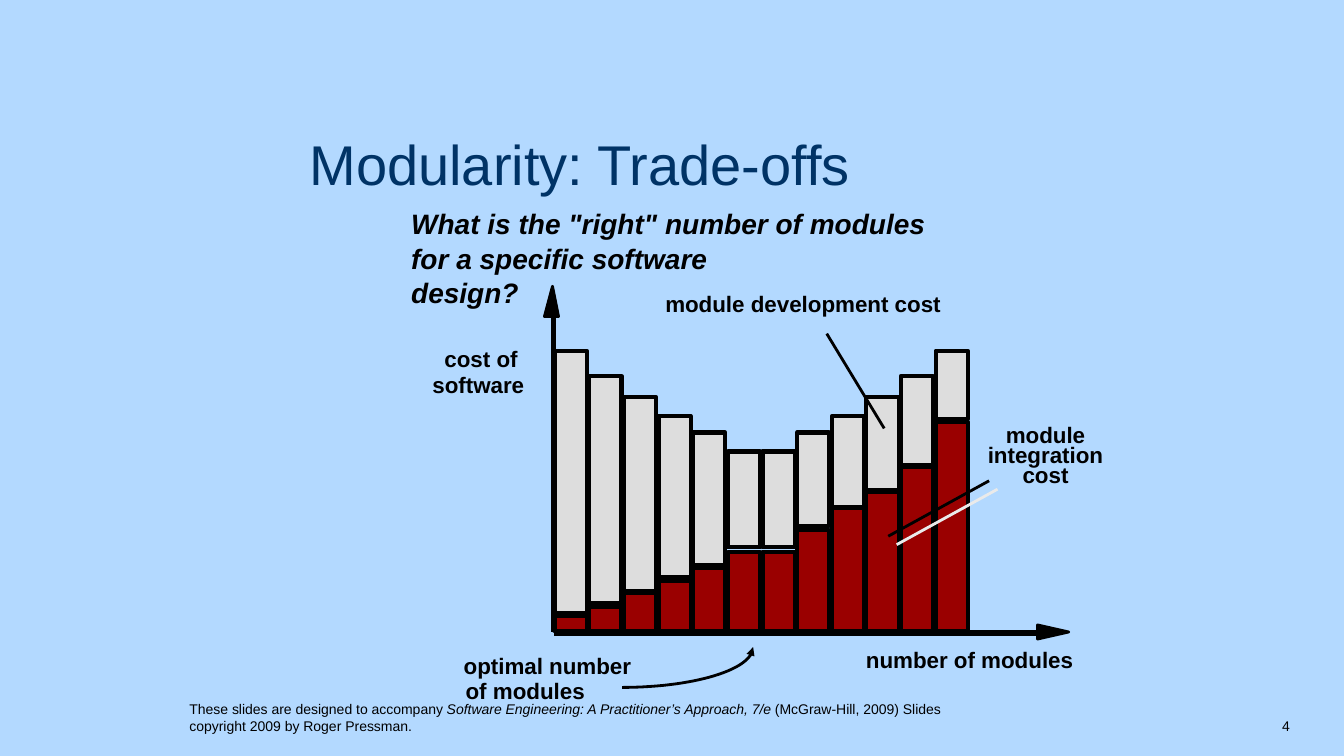
import math
from dataclasses import dataclass

import pptx
import pptx.dml.color
import pptx.enum.shapes
import pptx.enum.text
import pptx.oxml
import pptx.oxml.ns
import pptx.util
from pptx.util import Inches

ALIGN = pptx.enum.text.PP_ALIGN
ANCHOR = pptx.enum.text.MSO_ANCHOR


@dataclass(frozen=True)
class Theme:
    """Colours, font and type sizes of the slide."""
    font: str = "Arial"
    background: str = "B3D9FF"
    title: str = "003366"
    ink: str = "000000"
    development: str = "DDDDDD"
    integration: str = "9A0000"
    shadow: str = "EAEAEA"
    title_size: int = 40
    question_size: int = 20
    label_size: int = 16
    footer_size: int = 10


class SlideBuilder:
    """Draws styled elements on one slide."""

    def __init__(self, slide, theme):
        self.slide = slide
        self.theme = theme
        slide.background.fill.solid()
        slide.background.fill.fore_color.rgb = self.rgb(theme.background)

    def rgb(self, colour):
        """Return an RGB colour from its hex digits."""
        return pptx.dml.color.RGBColor.from_string(colour)

    def stroke(self, line, width):
        """Give a line the ink colour and a width in points."""
        line.color.rgb = self.rgb(self.theme.ink)
        line.width = pptx.util.Pt(width)

    def text(self, left, top, width, height, paragraphs, size, colour=None, bold=False,
             italic=False, align=ALIGN.LEFT, anchor=ANCHOR.TOP, spacing=None, insets=(0.1, 0.05)):
        """Add a text box; each paragraph is a list of (text, italic) runs or a string."""
        box = self.slide.shapes.add_textbox(
            Inches(left), Inches(top), Inches(width), Inches(height))
        frame = box.text_frame
        frame.word_wrap = True
        frame.vertical_anchor = anchor
        frame.margin_left = frame.margin_right = Inches(insets[0])
        frame.margin_top = frame.margin_bottom = Inches(insets[1])
        for index, content in enumerate(paragraphs):
            paragraph = frame.add_paragraph() if index else frame.paragraphs[0]
            paragraph.alignment = align
            if spacing:
                paragraph.line_spacing = spacing
            runs = [(content, italic)] if isinstance(content, str) else content
            for words, slanted in runs:
                run = paragraph.add_run()
                run.text = words
                run.font.name = self.theme.font
                run.font.size = pptx.util.Pt(size)
                run.font.bold = bold
                run.font.italic = slanted
                run.font.color.rgb = self.rgb(colour or self.theme.ink)

    def label(self, left, top, width, height, *lines, **style):
        """Add a bold chart label."""
        self.text(left, top, width, height, lines, self.theme.label_size, bold=True, **style)

    def bar(self, left, top, width, bottom, colour):
        """Add one outlined bar segment."""
        segment = self.slide.shapes.add_shape(
            pptx.enum.shapes.MSO_SHAPE.RECTANGLE,
            Inches(left), Inches(top), Inches(width), Inches(bottom - top))
        segment.shadow.inherit = False
        segment.fill.solid()
        segment.fill.fore_color.rgb = self.rgb(colour)
        self.stroke(segment.line, 3)

    def line(self, start, end, width=2, shadow=False):
        """Add a straight line, with an offset shadow if wanted."""
        connector = self.slide.shapes.add_connector(
            pptx.enum.shapes.MSO_CONNECTOR.STRAIGHT,
            *(Inches(value) for value in (*start, *end)))
        self.stroke(connector.line, width)
        namespace = pptx.oxml.ns.nsdecls("a")
        effect = (f'<a:outerShdw dist="107950" dir="2700000" algn="ctr" rotWithShape="0">'
                  f'<a:srgbClr val="{self.theme.shadow}"/></a:outerShdw>') if shadow else ""
        connector._element.spPr.append(pptx.oxml.parse_xml(
            f"<a:effectLst {namespace}>{effect}</a:effectLst>"))

    def outline(self, points, closed, arrow=False):
        """Add a filled polygon or an open curve, with an arrowhead at its start if wanted."""
        (left, top), *rest = points
        builder = self.slide.shapes.build_freeform(Inches(left), Inches(top))
        builder.add_line_segments([(Inches(x), Inches(y)) for x, y in rest], close=closed)
        freeform = builder.convert_to_shape()
        freeform.shadow.inherit = False
        if closed:
            freeform.fill.solid()
            freeform.fill.fore_color.rgb = self.rgb(self.theme.ink)
        else:
            freeform.fill.background()
        self.stroke(freeform.line, 2)
        if arrow:
            freeform.line._get_or_add_ln().append(pptx.oxml.parse_xml(
                f'<a:headEnd {pptx.oxml.ns.nsdecls("a")} type="triangle"/>'))


def main():
    """Build the modularity slide."""
    presentation = pptx.Presentation()
    presentation.slide_width = Inches(13.33)
    presentation.slide_height = Inches(7.5)
    theme = Theme()
    builder = SlideBuilder(presentation.slides.add_slide(presentation.slide_layouts[6]), theme)

    builder.text(1.78, 6.83, 8, 0.5, [[
        ("These slides are designed to accompany ", False),
        ("Software Engineering: A Practitioner’s Approach, 7/e ", True),
        ("(McGraw-Hill, 2009) Slides copyright 2009 by Roger Pressman.", False),
    ]], theme.footer_size, anchor=ANCHOR.BOTTOM)
    builder.text(11, 6.83, 1.89, 0.5, ["4"], theme.footer_size,
                 align=ALIGN.RIGHT, anchor=ANCHOR.BOTTOM)
    builder.text(3, 1.25, 5.6, 0.72, ["Modularity: Trade-offs"], theme.title_size,
                 colour=theme.title, insets=(0.07, 0.03))
    for top, width, question in (
            (2, 5.37, 'What is the "right" number of modules'),
            (2.35, 4.27, "for a specific software design?")):
        builder.text(3.98, top, width, 0.43, [question], theme.question_size,
                     bold=True, italic=True)

    first_bar, bar_pitch, bar_width, baseline = 5.5, 0.34, 0.32, 6.26
    bar_pitch = (9.28 - first_bar) / 11
    falling_tops = [3.48, 3.73, 3.94, 4.13, 4.29, 4.48]
    development_tops = falling_tops + falling_tops[::-1]
    development_bottoms = [6.08, 5.98, 5.86, 5.73, 5.61, 5.43,
                           5.43, 5.22, 5.03, 4.86, 4.61, 4.16]
    integration_tops = [6.11, 6.02, 5.88, 5.76, 5.63, 5.48,
                        5.48, 5.26, 5.04, 4.88, 4.63, 4.19]
    for index, (total, split, integration) in enumerate(
            zip(development_tops, development_bottoms, integration_tops)):
        left = first_bar + index * bar_pitch
        builder.bar(left, integration, bar_width, baseline, theme.integration)
        builder.bar(left, total, bar_width, split, theme.development)

    builder.line((5.49, 6.28), (10.28, 6.28), width=4)
    builder.outline([(10.6, 6.27), (10.29, 6.34), (10.29, 6.2)], closed=True)
    builder.line((5.49, 6.27), (5.49, 3.13), width=4)
    builder.outline([(5.48, 2.84), (5.54, 3.14), (5.4, 3.14)], closed=True)

    builder.label(4.31, 3.38, 1, 0.37, "cost of")
    builder.label(4.19, 3.63, 1.2, 0.37, "software")
    builder.label(8.49, 6.36, 2.4, 0.36, "number of modules")
    builder.label(4.5, 6.42, 1.95, 0.37, "optimal number")
    builder.label(4.52, 6.67, 1.5, 0.37, "of modules")
    builder.label(6.5, 2.83, 3, 0.37, "module development cost")
    builder.label(9.62, 4.19, 1.5, 0.7, "module", "integration", "cost",
                  align=ALIGN.CENTER, spacing=0.75)

    builder.line((8.2, 3.31), (8.77, 4.25))
    builder.line((9.81, 4.77), (8.81, 5.32), shadow=True)
    angles = [math.radians(degrees) for degrees in range(0, 91, 3)]
    builder.outline([(6.17 + 1.3 * math.cos(angle), 6.42 + 0.4 * math.sin(angle))
                     for angle in angles], closed=False, arrow=True)

    presentation.save("out.pptx")


if __name__ == "__main__":
    main()
